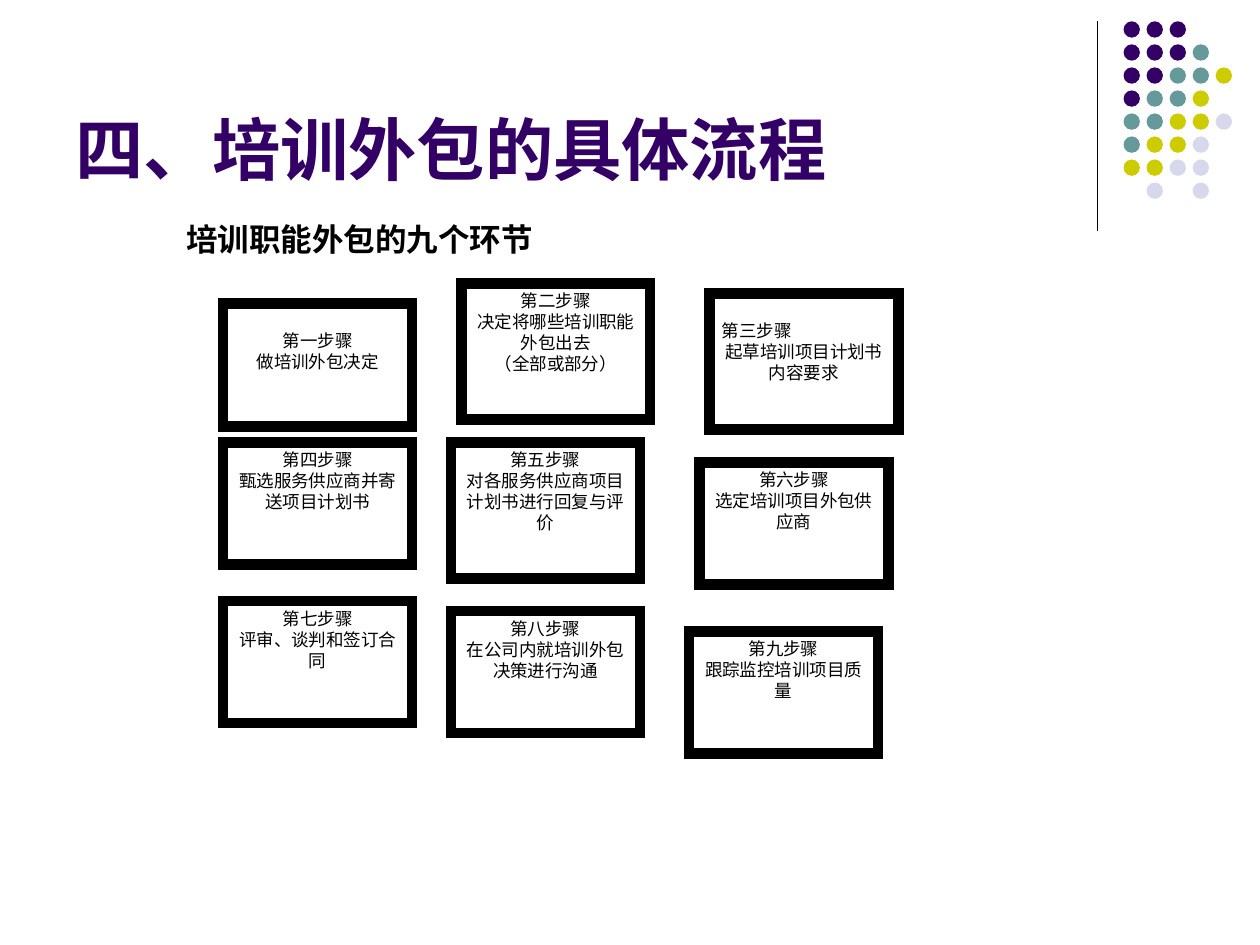
from dataclasses import dataclass
from typing import Any

from lxml import etree
from pptx import Presentation
from pptx.dml.color import RGBColor
from pptx.enum.shapes import MSO_CONNECTOR, MSO_SHAPE
from pptx.enum.text import MSO_ANCHOR, MSO_AUTO_SIZE, PP_ALIGN
from pptx.oxml.ns import qn
from pptx.util import Cm, Pt

RECTANGLE, OVAL = MSO_SHAPE.RECTANGLE, MSO_SHAPE.OVAL
STRAIGHT = MSO_CONNECTOR.STRAIGHT
TOP, BOTTOM = MSO_ANCHOR.TOP, MSO_ANCHOR.BOTTOM
LEFT, CENTER, JUSTIFY = PP_ALIGN.LEFT, PP_ALIGN.CENTER, PP_ALIGN.JUSTIFY
NO_AUTOFIT = MSO_AUTO_SIZE.NONE

PURPLE = RGBColor(0x33, 0x00, 0x66)
TEAL = RGBColor(0x66, 0x99, 0x99)
OLIVE = RGBColor(0xCC, 0xCC, 0x00)
LAVENDER = RGBColor(0xD8, 0xD8, 0xEC)
BLACK = RGBColor(0x00, 0x00, 0x00)
WHITE = RGBColor(0xFF, 0xFF, 0xFF)

TITLE_FONT = {"name": "Arial", "size": Pt(39), "bold": True}
HEADING_FONT = {"name": "Arial", "size": Pt(18), "bold": True}
STEP_FONT = {"name": "Times New Roman", "size": Pt(10), "bold": False}

DOT_COLOURS = {"P": PURPLE, "T": TEAL, "O": OLIVE, "L": LAVENDER}
DOT_ROWS = ("PPP", "PPPT", "PPTTO", "PTTO", "TTOOL", "TOOL", "OOLL", " L L")
DOT_LEFT, DOT_TOP, DOT_SIZE = 22.65, 0.43, 0.33
DOT_PITCH = 3.25 / 7

STEP_WIDTH = 3.81
INSET = 0.13
LOWERED_INSET = 0.54


@dataclass(frozen=True)
class Step:
    left: float
    top: float
    height: float
    lines: tuple[str, ...]
    inset: float = INSET
    first_alignment: Any = CENTER


STEPS = (
    Step(4.5, 6.12, 2.48, ("第一步骤", "做培训外包决定"), LOWERED_INSET),
    Step(9.3, 5.72, 2.74, ("第二步骤", "决定将哪些培训职能外包出去", "（全部或部分）")),
    Step(14.3, 5.92, 2.74, ("第三步骤", "起草培训项目计划书", "内容要求"),
         LOWERED_INSET, JUSTIFY),
    Step(4.5, 8.92, 2.46, ("第四步骤", "甄选服务供应商并寄送项目计划书")),
    Step(9.09, 8.92, 2.74, ("第五步骤", "对各服务供应商项目计划书进行回复与评价")),
    Step(14.1, 9.32, 2.46, ("第六步骤", "选定培训项目外包供应商")),
    Step(4.5, 12.12, 2.46, ("第七步骤", "评审、谈判和签订合同")),
    Step(9.09, 12.32, 2.46, ("第八步骤", "在公司内就培训外包决策进行沟通")),
    Step(13.89, 12.73, 2.46, ("第九步骤", "跟踪监控培训项目质量")),
)


def apply_format(target: Any, values: dict[str, Any]) -> None:
    for name, value in values.items():
        setattr(target, name, value)


def write_line(para: Any, text: str, font: dict[str, Any],
               colour: RGBColor, alignment: Any) -> None:
    para.alignment = alignment
    span = para.add_run()
    span.text = text
    apply_format(span.font, font)
    span.font.color.rgb = colour


def add_title(page: Any, text: str) -> None:
    title = page.shapes.title
    apply_format(title, {"left": Cm(1.27), "top": Cm(0.33),
                         "width": Cm(20.96), "height": Cm(3.61)})
    apply_format(title.text_frame, {"vertical_anchor": BOTTOM, "word_wrap": True,
                                    "auto_size": NO_AUTOFIT})
    write_line(title.text_frame.paragraphs[0], text, TITLE_FONT, PURPLE, LEFT)


def add_heading(page: Any, text: str) -> None:
    box = page.shapes.add_textbox(Cm(3.51), Cm(4.32), Cm(16.61), Cm(1.02))
    box.text_frame.word_wrap = True
    write_line(box.text_frame.paragraphs[0], text, HEADING_FONT, BLACK, LEFT)


def add_divider(page: Any) -> None:
    divider = page.shapes.add_connector(STRAIGHT, Cm(22.12), Cm(0.43), Cm(22.12), Cm(4.65))
    divider.line.color.rgb = BLACK
    divider.line.width = Pt(0.75)
    etree.SubElement(divider.element.spPr, qn("a:effectLst"))


def add_dots(page: Any) -> None:
    for row, letters in enumerate(DOT_ROWS):
        for column, letter in enumerate(letters):
            if letter not in DOT_COLOURS:
                continue
            dot = page.shapes.add_shape(
                OVAL, Cm(DOT_LEFT + column * DOT_PITCH), Cm(DOT_TOP + row * DOT_PITCH),
                Cm(DOT_SIZE), Cm(DOT_SIZE))
            dot.shadow.inherit = False
            dot.fill.solid()
            dot.fill.fore_color.rgb = DOT_COLOURS[letter]
            dot.line.fill.background()


def add_step(page: Any, step: Step) -> None:
    box = page.shapes.add_shape(RECTANGLE, Cm(step.left), Cm(step.top),
                                Cm(STEP_WIDTH), Cm(step.height))
    box.shadow.inherit = False
    box.fill.solid()
    box.fill.fore_color.rgb = WHITE
    box.line.color.rgb = BLACK
    box.line.width = Pt(6)
    etree.SubElement(box.element.spPr.find(qn("a:ln")), qn("a:miter"), lim="800000")
    frame = box.text_frame
    apply_format(frame, {"word_wrap": True, "vertical_anchor": TOP,
                         "margin_top": Cm(step.inset)})
    for index, text in enumerate(step.lines):
        para = frame.add_paragraph() if index else frame.paragraphs[0]
        alignment = CENTER if index else step.first_alignment
        write_line(para, text, STEP_FONT, BLACK, alignment)


def main() -> None:
    deck = Presentation()
    deck.slide_width, deck.slide_height = Cm(25.4), Cm(19.05)
    page = deck.slides.add_slide(deck.slide_layouts[5])
    add_divider(page)
    add_dots(page)
    add_title(page, "四、培训外包的具体流程")
    add_heading(page, "培训职能外包的九个环节")
    for step in STEPS:
        add_step(page, step)
    deck.save("out.pptx")


if __name__ == "__main__":
    main()
